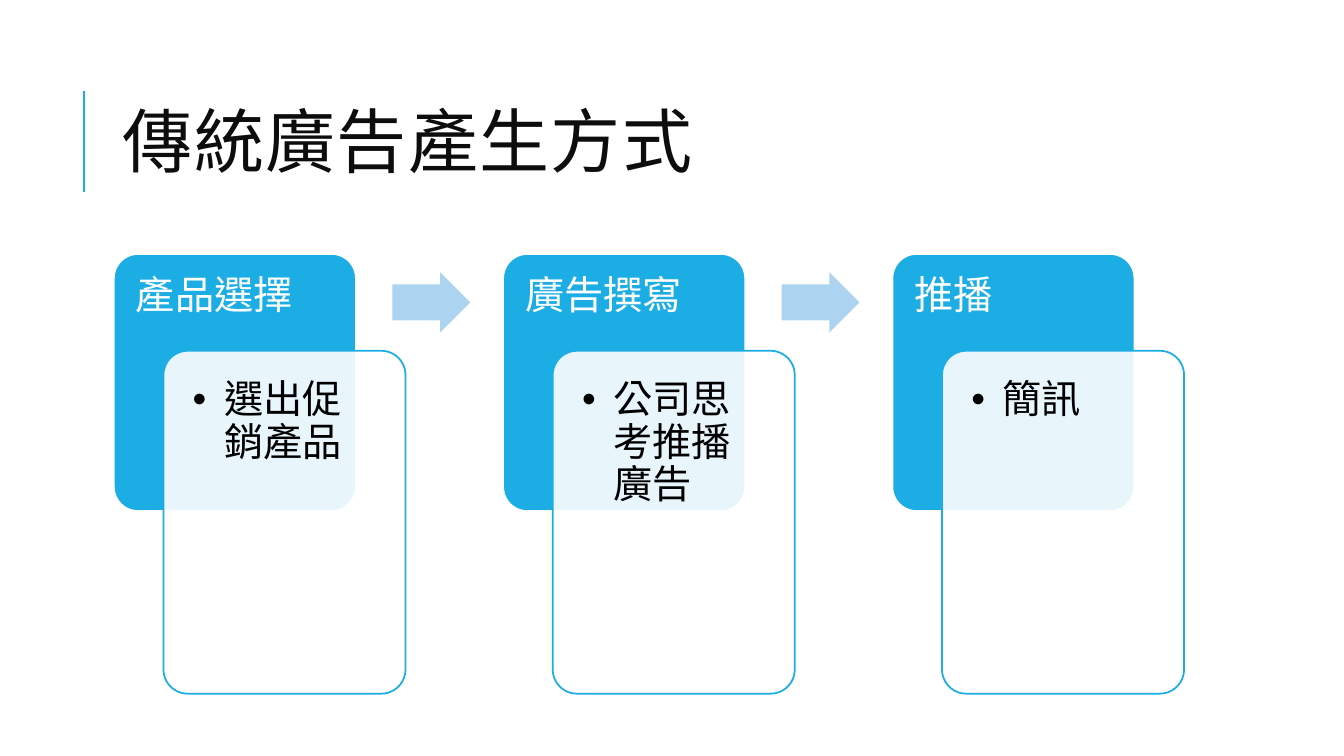
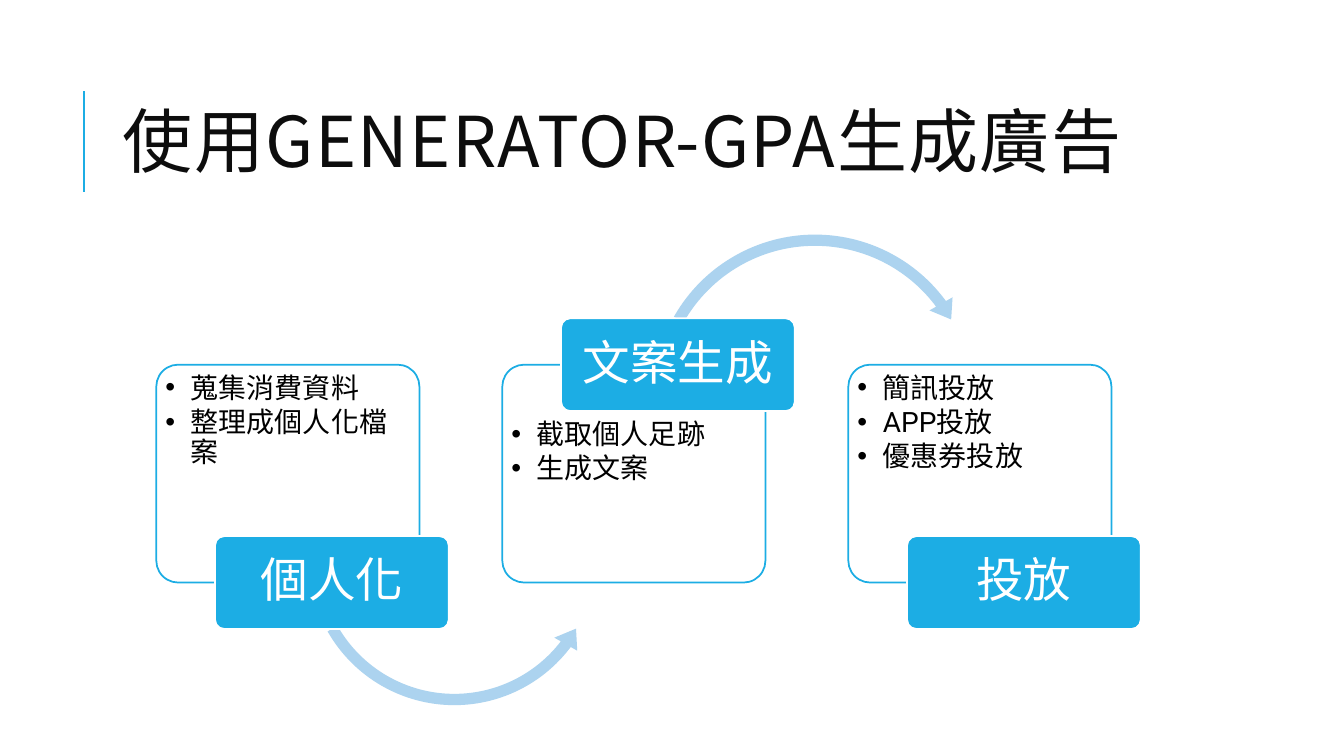
from dataclasses import dataclass
from typing import Optional

from lxml.etree import SubElement
from pptx import Presentation
from pptx.dml.color import RGBColor
from pptx.enum.shapes import MSO_CONNECTOR, MSO_SHAPE
from pptx.enum.text import MSO_ANCHOR as Anchor, MSO_AUTO_SIZE, PP_ALIGN as Align
from pptx.oxml.ns import qn
from pptx.util import Cm, Pt

COLORS = {
    "accent": "1CADE4",
    "arrow": "ACD3EF",
    "title": "0D0D0D",
    "text": "000000",
    "white": "FFFFFF",
}
TITLE_ONLY = 5


@dataclass(frozen=True)
class Box:
    """A place on the slide, in centimetres."""
    left: float
    top: float
    width: float
    height: float

    def lengths(self) -> tuple:
        return Cm(self.left), Cm(self.top), Cm(self.width), Cm(self.height)


@dataclass(frozen=True)
class TextStyle:
    size: float
    font: str
    color: str
    line_spacing: float = 0.9
    space_after: float = 0
    align: Align = Align.LEFT
    anchor: Anchor = Anchor.TOP
    bullet_indent: float = 0
    tracking: float = 0


@dataclass(frozen=True)
class Step:
    heading: str
    points: tuple


@dataclass(frozen=True)
class Arc:
    preset: MSO_SHAPE
    place: Box
    adjustments: tuple


TITLE = TextStyle(50, "Noto Sans CJK TC", "title", 0.8, anchor=Anchor.MIDDLE, tracking=1)
STAGE_HEADING = TextStyle(28, "Noto Sans CJK SC", "white")
STAGE_POINTS = TextStyle(28, "Noto Sans CJK SC", "text", space_after=4, bullet_indent=0.79)
FLOW_HEADING = TextStyle(34, "Roboto", "white", align=Align.CENTER, anchor=Anchor.MIDDLE)
FLOW_POINTS = TextStyle(20, "Roboto", "text", space_after=3, bullet_indent=0.64)

TRADITIONAL_STEPS = (
    Step("產品選擇", ("選出促銷產品",)),
    Step("廣告撰寫", ("公司思考推播廣告",)),
    Step("推播", ("簡訊",)),
)
GENERATED_STEPS = (
    Step("個人化", ("蒐集消費資料", "整理成個人化檔案")),
    Step("文案生成", ("截取個人足跡", "生成文案")),
    Step("投放", ("簡訊投放", "APP投放", "優惠券投放")),
)
ARCS = (
    Arc(MSO_SHAPE.LEFT_CIRCULAR_ARROW, Box(7.59, 10.24, 7.72, 7.72),
        (0.037, 4.574, 22.329, 90.245, 0.043)),
    Arc(MSO_SHAPE.CIRCULAR_ARROW, Box(16.26, 5.72, 8.56, 8.56),
        (0.033, 4.085, 194.16, 125.755, 0.039)),
)


def rgb(name: str) -> RGBColor:
    return RGBColor.from_string(COLORS[name])


def write(frame, lines: tuple, style: TextStyle, insets: Optional[tuple] = None) -> None:
    """Fill a text frame; insets are left, top, right, bottom in centimetres."""
    frame.word_wrap = True
    frame.auto_size = MSO_AUTO_SIZE.NONE
    frame.vertical_anchor = style.anchor
    if insets:
        (frame.margin_left, frame.margin_top,
         frame.margin_right, frame.margin_bottom) = map(Cm, insets)
    frame.text = "\n".join(lines)
    for paragraph in frame.paragraphs:
        if style.bullet_indent:
            add_bullet(paragraph, style.bullet_indent)
        paragraph.alignment = style.align
        paragraph.line_spacing = style.line_spacing
        paragraph.space_after = Pt(style.space_after)
        for run in paragraph.runs:
            run.font.size = Pt(style.size)
            run.font.color.rgb = rgb(style.color)
            run.font.name = style.font
            properties = run._r.get_or_add_rPr()
            properties.set("lang", "zh-TW")
            if style.tracking:
                properties.set("spc", str(int(style.tracking * 100)))
            SubElement(properties, qn("a:ea"), typeface=style.font)


def add_bullet(paragraph, indent: float) -> None:
    properties = paragraph._p.get_or_add_pPr()
    properties.set("marL", str(Cm(indent)))
    properties.set("indent", str(-Cm(indent)))
    SubElement(properties, qn("a:buFont"), typeface="Arial")
    SubElement(properties, qn("a:buChar"), char="•")


def add_shape(slide, preset: MSO_SHAPE, place: Box, fill: str,
              adjustments: tuple, line: Optional[str] = None):
    shape = slide.shapes.add_shape(preset, *place.lengths())
    shape.shadow.inherit = False
    for index, value in enumerate(adjustments):
        shape.adjustments[index] = value
    shape.fill.solid()
    shape.fill.fore_color.rgb = rgb(fill)
    if line:
        shape.line.color.rgb = rgb(line)
        shape.line.width = Pt(1.25)
    else:
        shape.line.fill.background()
    return shape


def add_heading_block(slide, place: Box):
    return add_shape(slide, MSO_SHAPE.ROUNDED_RECTANGLE, place, "accent", (0.1,), "white")


def add_card(slide, place: Box):
    """Add an outlined card with a slightly see-through white fill."""
    card = add_shape(slide, MSO_SHAPE.ROUNDED_RECTANGLE, place, "white", (0.1,), "accent")
    fill_color = card.fill._xPr.find(qn("a:solidFill"))[0]
    SubElement(fill_color, qn("a:alpha"), val="90000")
    return card


def add_titled_slide(deck, title: str):
    slide = deck.slides.add_slide(deck.slide_layouts[TITLE_ONLY])
    rule = slide.shapes.add_connector(
        MSO_CONNECTOR.STRAIGHT, Cm(2.12), Cm(4.83), Cm(2.12), Cm(2.29))
    rule.line.color.rgb = rgb("accent")
    rule.line.width = Pt(1.5)
    SubElement(rule._element.spPr, qn("a:effectLst"))
    heading = slide.shapes.title
    heading.left, heading.top, heading.width, heading.height = Box(
        2.84, 1.63, 27, 4.17).lengths()
    write(heading.text_frame, (title,), TITLE)
    return slide


def build_traditional(deck) -> None:
    slide = add_titled_slide(deck, "傳統廣告產生方式")
    first_left, pitch, top = 2.87, 9.81, 6.4
    for index, step in enumerate(TRADITIONAL_STEPS):
        left = first_left + index * pitch
        block = add_heading_block(slide, Box(left, top, 6.1, 6.48))
        write(block.text_frame, (step.heading,), STAGE_HEADING, (0.38,) * 4)
        card = add_card(slide, Box(left + 1.25, top + 2.44, 6.1, 8.64))
        write(card.text_frame, step.points, STAGE_POINTS, (0.56,) * 4)
        if index < len(TRADITIONAL_STEPS) - 1:
            add_shape(slide, MSO_SHAPE.RIGHT_ARROW,
                      Box(left + 7.02, top + 0.46, 1.96, 1.52), "arrow", (0.6, 0.5))


def build_generated(deck) -> None:
    slide = add_titled_slide(deck, "使用GENERATOR-GPA生成廣告")
    first_left, pitch, top = 3.94, 8.72, 9.19
    card_height, label_height = 5.49, 2.34
    for index, step in enumerate(GENERATED_STEPS):
        left = first_left + index * pitch
        label_above = index % 2 == 1
        card = add_card(slide, Box(left, top, 6.63, card_height))
        write(card.text_frame, step.points, FLOW_POINTS,
              (0.07, 1.24 if label_above else 0.07, 0.07, 0.07))
        if index < len(ARCS):
            arc = ARCS[index]
            add_shape(slide, arc.preset, arc.place, "arrow", arc.adjustments)
        edge = top if label_above else top + card_height
        label = add_heading_block(
            slide, Box(left + 1.48, edge - label_height / 2, 5.89, label_height))
        write(label.text_frame, (step.heading,), FLOW_HEADING, (0.18, 0.13, 0.18, 0.13))


def main() -> None:
    deck = Presentation()
    deck.slide_width, deck.slide_height = Cm(33.87), Cm(19.05)
    build_traditional(deck)
    build_generated(deck)
    deck.save("out.pptx")


if __name__ == "__main__":
    main()
